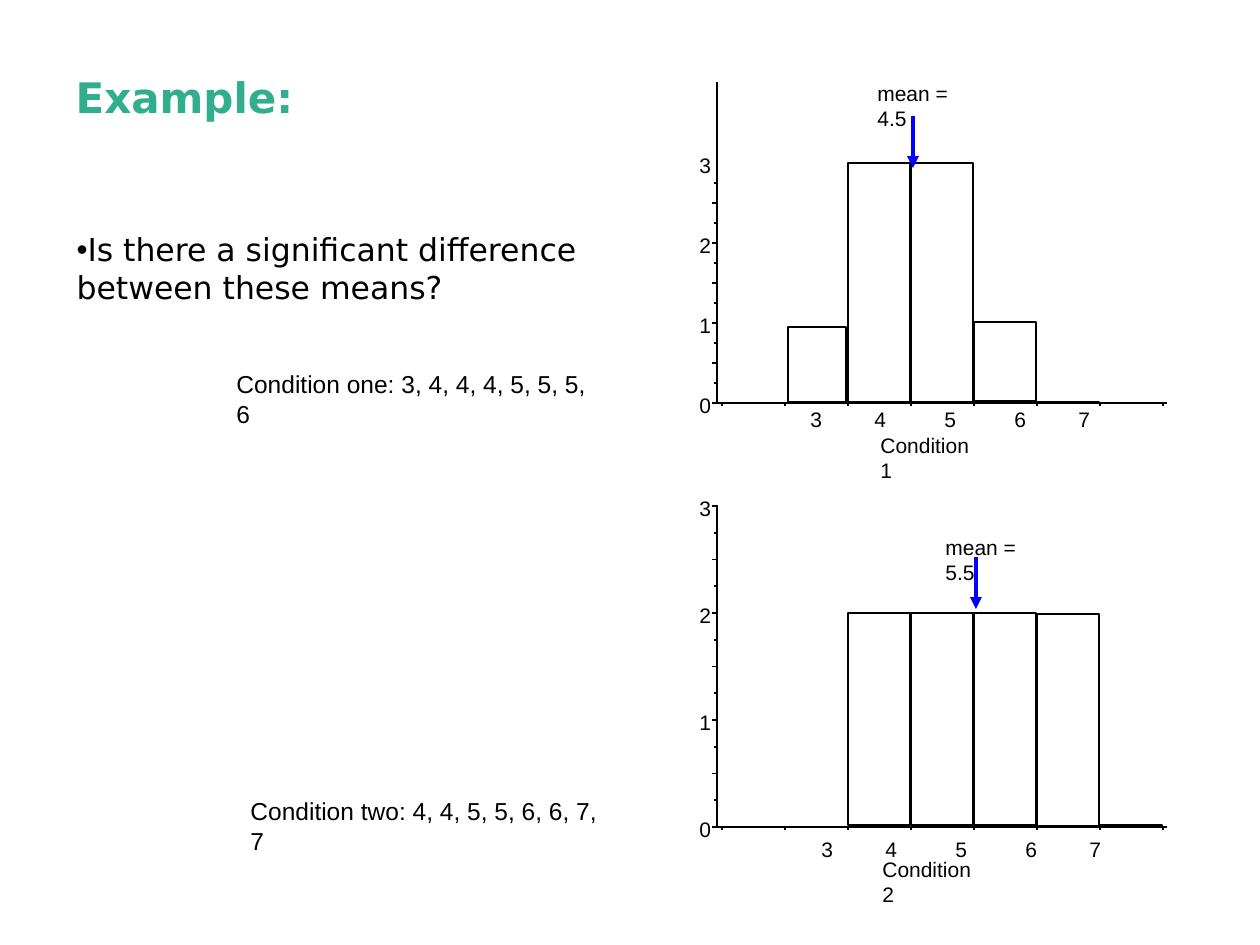
from dataclasses import dataclass

from lxml.etree import SubElement
from pptx import Presentation
from pptx.dml.color import RGBColor
from pptx.enum.shapes import MSO_CONNECTOR, MSO_SHAPE
from pptx.enum.text import MSO_ANCHOR, MSO_AUTO_SIZE, PP_ALIGN
from pptx.oxml.ns import qn
from pptx.util import Emu, Pt

SCALE = 914400 / 126  # EMU in one px
BLACK, BLUE, GREEN = "000000", "0000FF", "31AE8D"
AXIS_X, AXIS_END = 717, 1167
TICK_X, TICK_GAP = 722, 31.5
DIGIT_TABS = (64, 134, 204, 268)


@dataclass
class Bar:
    left: int
    top: int
    high: int
    wide: int = 62


@dataclass
class Label:
    text: str
    left: int
    top: int
    wide: int


@dataclass
class Graph:
    top: int            # upper end of the value axis
    base: int           # height of the category axis
    unit: int           # px for a count of one
    ticks: int          # quarter-unit ticks
    bars: list[Bar]
    labels: list[Label]
    digits: Label
    arrow: tuple[int, int, int]  # x, start, end


def px(n: float) -> Emu:
    return Emu(round(n * SCALE))


def color(code: str) -> RGBColor:
    return RGBColor.from_string(code)


def place(shape, left: int, top: int, wide: int, high: int) -> None:
    shape.left, shape.top = px(left), px(top)
    shape.width, shape.height = px(wide), px(high)


def write(shape, text: str, *, size: int = 12, font: str = "Arial",
          ink: str = BLACK, bold: bool = False, bullet: str = "",
          tabs: tuple = (), anchor=MSO_ANCHOR.TOP,
          fit=MSO_AUTO_SIZE.SHAPE_TO_FIT_TEXT) -> None:
    frame = shape.text_frame
    frame.word_wrap = True
    frame.auto_size = fit
    frame.vertical_anchor = anchor
    para = frame.paragraphs[0]
    para.text = text
    para.alignment = PP_ALIGN.LEFT
    para.space_before = Pt(0)
    props = para._p.get_or_add_pPr()
    if bullet:
        props.set("marL", "0")
        props.set("indent", "0")
        SubElement(props, qn("a:buChar")).set("char", bullet)
    if tabs:
        stops = SubElement(props, qn("a:tabLst"))
        for pos in tabs:
            stop = SubElement(stops, qn("a:tab"))
            stop.set("pos", str(px(pos)))
            stop.set("algn", "l")
    for run in para.runs:
        run.font.size = Pt(size)
        run.font.name = font
        run.font.bold = bold
        run.font.color.rgb = color(ink)


def label(slide, item: Label, high: int = 38, **style) -> None:
    box = slide.shapes.add_textbox(
        px(item.left), px(item.top), px(item.wide), px(high))
    write(box, item.text, **style)


def line(slide, x1: float, y1: float, x2: float, y2: float, *,
         ink: str = BLACK, width: float = 1, arrow: bool = False) -> None:
    link = slide.shapes.add_connector(
        MSO_CONNECTOR.STRAIGHT, px(x1), px(y1), px(x2), px(y2))
    link.line.color.rgb = color(ink)
    link.line.width = Pt(width)
    if arrow:
        SubElement(link.line._get_or_add_ln(), qn("a:tailEnd")).set(
            "type", "triangle")
    SubElement(link._element.spPr, qn("a:effectLst"))


def block(slide, bar: Bar) -> None:
    rect = slide.shapes.add_shape(
        MSO_SHAPE.RECTANGLE, px(bar.left), px(bar.top),
        px(bar.wide), px(bar.high))
    rect.shadow.inherit = False
    rect.fill.background()
    rect.line.color.rgb = color(BLACK)
    rect.line.width = Pt(1)


def draw(slide, graph: Graph) -> None:
    base = graph.base
    # Value axis: longer ticks at every second step
    line(slide, AXIS_X, base - 1, AXIS_X, graph.top)
    for i in range(graph.ticks):
        y = base - i * graph.unit / 4
        line(slide, AXIS_X - (3 if i % 2 else 5), y, AXIS_X - 1, y)
    for n in range(4):
        label(slide, Label(str(n), 687, base - 17 - n * graph.unit, 37))
    # Category axis
    line(slide, AXIS_X - 1, base, AXIS_END, base)
    for i in range(15):
        x = TICK_X + i * TICK_GAP
        line(slide, x, base + (1 if i % 2 else 3), x, base - 1)
    label(slide, graph.digits, tabs=DIGIT_TABS)
    # Bars, captions and mean marker
    for bar in graph.bars:
        block(slide, bar)
    for item in graph.labels:
        label(slide, item)
    x, start, end = graph.arrow
    line(slide, x, start, x, end, ink=BLUE, width=2.25, arrow=True)


GRAPHS = [
    Graph(
        top=82, base=403, unit=80, ticks=12,
        bars=[Bar(788, 327, 75, 58), Bar(848, 163, 239), Bar(911, 163, 239),
              Bar(974, 322, 79), Bar(1037, 402, 1)],
        labels=[Label("Condition 1", 868, 426, 130),
                Label("mean = 4.5", 865, 74, 130)],
        digits=Label("3\t4\t5\t6\t7", 798, 400, 312),
        arrow=(913, 116, 168)),
    Graph(
        top=505, base=827, unit=107, ticks=13,
        bars=[Bar(848, 613, 212), Bar(911, 613, 212), Bar(974, 613, 212),
              Bar(1037, 614, 212), Bar(1100, 825, 1)],
        labels=[Label("Condition 2", 870, 850, 130),
                Label("mean = 5.5", 933, 528, 130)],
        digits=Label("3\t4\t5\t6\t7", 809, 830, 312),
        arrow=(976, 557, 609)),
]


def main() -> None:
    deck = Presentation()
    deck.slide_width, deck.slide_height = px(1260), px(945)
    slide = deck.slides.add_slide(deck.slide_layouts[1])

    # Title and question
    title, body = slide.placeholders
    place(title, 63, 38, 1134, 118)
    write(title, "Example:", size=24, font="DejaVu Sans", ink=GREEN,
          bold=True, anchor=MSO_ANCHOR.MIDDLE, fit=MSO_AUTO_SIZE.NONE)
    place(body, 64, 224, 1121, 624)
    write(body, "Is there a significant difference \vbetween these means?",
          size=18, font="DejaVu Sans", bullet="•", fit=MSO_AUTO_SIZE.NONE)

    # Data of both conditions
    label(slide, Label("Condition one: 3, 4, 4, 4, 5, 5, 5, 6",
                       224, 363, 390), 42, size=14)
    label(slide, Label("Condition two: 4, 4, 5, 5, 6, 6, 7, 7",
                       238, 790, 386), 42, size=14)

    # Histograms
    for graph in GRAPHS:
        draw(slide, graph)
    deck.save("out.pptx")


if __name__ == "__main__":
    main()
